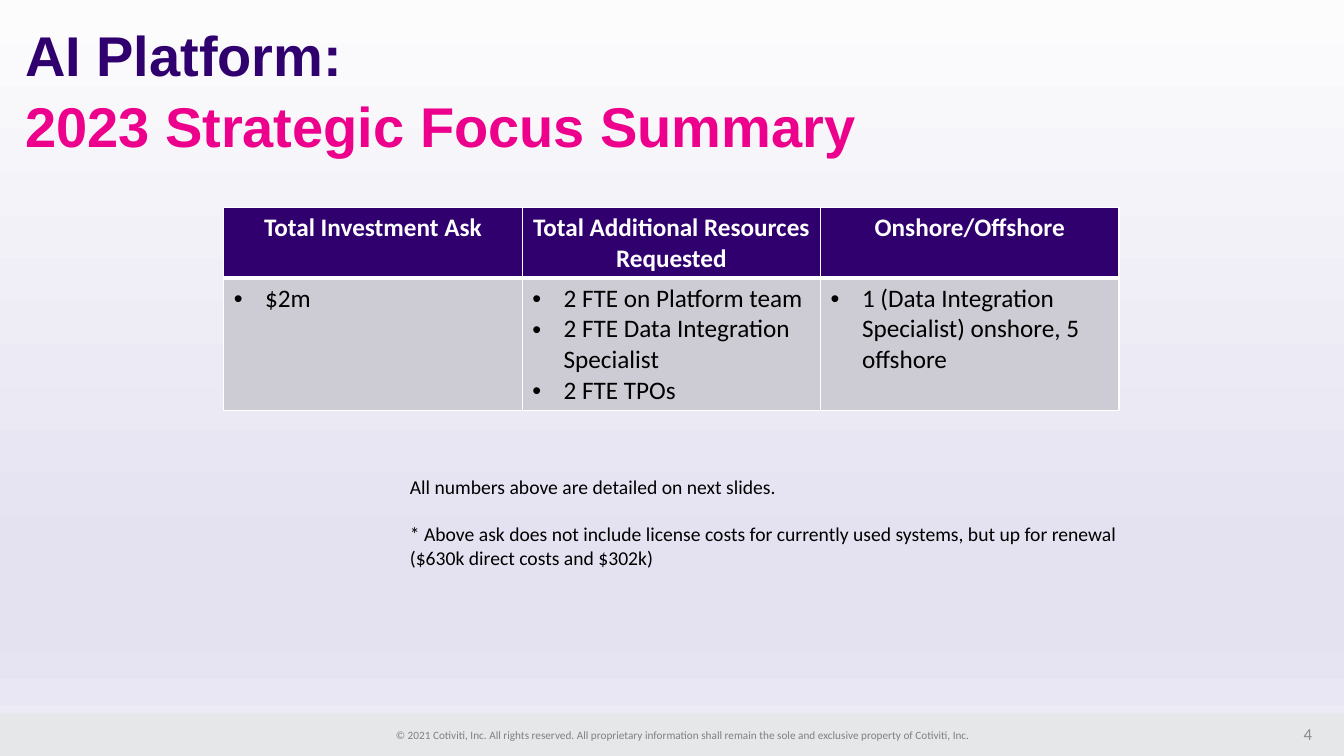
from copy import deepcopy
from dataclasses import dataclass

from lxml.etree import SubElement
from pptx import Presentation
from pptx.dml.color import RGBColor as RGB
from pptx.enum.shapes import MSO_SHAPE as Shape
from pptx.enum.text import MSO_ANCHOR as Anchor, MSO_AUTO_SIZE as AutoSize, PP_ALIGN as Align
from pptx.oxml.ns import qn
from pptx.util import Cm, Pt


@dataclass(frozen=True)
class Theme:
    heading_font: str = "Arial"
    body_font: str = "Calibri"
    purple: str = "30006F"
    pink: str = "EC008C"
    white: str = "FFFFFF"
    black: str = "000000"
    cell_grey: str = "CDCCD5"
    band_grey: str = "E6E7E8"
    legal_grey: str = "808080"
    number_grey: str = "8C8C8C"
    backdrop: tuple = ((0, "FCFCFD"), (0.74, "E4E2F1"), (0.83, "E4E2F1"), (1, "EDECF6"))
    title_size: int = 40
    table_size: int = 18
    note_size: int = 14
    number_size: int = 12
    legal_size: int = 8


class SlideBuilder:
    """Draws styled elements on one slide."""

    def __init__(self, deck, theme):
        self.theme = theme
        self.slide = deck.slides.add_slide(deck.slide_layouts[5])

    def background(self):
        fill = self.slide.background.fill
        fill.gradient()
        fill.gradient_angle = 270
        stop_list = self.slide.element.find(".//" + qn("a:gsLst"))
        for _ in range(len(self.theme.backdrop) - len(stop_list)):
            stop_list.append(deepcopy(stop_list[0]))
        for stop, (position, color) in zip(fill.gradient_stops, self.theme.backdrop):
            stop.position = position
            stop.color.rgb = RGB.from_string(color)

    def run(self, paragraph, text, size, color, bold=False, font=None):
        run = paragraph.add_run()
        run.text = text
        run.font.name = font or self.theme.body_font
        run.font.size = Pt(size)
        run.font.bold = bold
        run.font.color.rgb = RGB.from_string(color)

    def paragraphs(self, frame, lines):
        for index, line in enumerate(lines):
            yield (frame.add_paragraph() if index else frame.paragraphs[0]), line

    def title(self, lines, left, top, width, height):
        title = self.slide.shapes.title
        title.left, title.top, title.width, title.height = map(Cm, (left, top, width, height))
        frame = title.text_frame
        frame.auto_size = AutoSize.NONE
        frame.vertical_anchor = Anchor.TOP
        for paragraph, (text, color) in self.paragraphs(frame, lines):
            paragraph.alignment = Align.LEFT
            paragraph.line_spacing = 1.06
            paragraph.space_before = Pt(0)
            self.run(paragraph, text, self.theme.title_size, color, True, self.theme.heading_font)

    def band(self, left, top, width, height, color):
        band = self.slide.shapes.add_shape(Shape.RECTANGLE, *map(Cm, (left, top, width, height)))
        band.shadow.inherit = False
        band.fill.solid()
        band.fill.fore_color.rgb = RGB.from_string(color)
        band.line.fill.background()

    def text(self, lines, left, top, width, height, size, color,
             align=Align.LEFT, anchor=Anchor.TOP, wrap=True, gap=0):
        box = self.slide.shapes.add_textbox(*map(Cm, (left, top, width, height)))
        frame = box.text_frame
        frame.word_wrap = wrap
        frame.vertical_anchor = anchor
        for index, (paragraph, line) in enumerate(self.paragraphs(frame, lines)):
            paragraph.alignment = align
            paragraph.space_before = Pt(gap if index else 0)
            self.run(paragraph, line, size, color)

    def bullet(self, paragraph, indent):
        properties = paragraph._p.get_or_add_pPr()
        properties.set("marL", str(indent))
        properties.set("indent", str(-indent))
        SubElement(properties, qn("a:buFont"), typeface="Arial")
        SubElement(properties, qn("a:buChar"), char="•")

    def borders(self, cell, bottom):
        properties = cell._tc.get_or_add_tcPr()
        for side, width in (("L", 1), ("R", 1), ("T", 1), ("B", bottom)):
            line = SubElement(properties, qn(f"a:ln{side}"), w=str(Pt(width)))
            fill = SubElement(line, qn("a:solidFill"))
            SubElement(fill, qn("a:srgbClr"), val=self.theme.white)

    def cell(self, cell, lines, is_header):
        theme = self.theme
        self.borders(cell, 3 if is_header else 1)
        cell.fill.solid()
        cell.fill.fore_color.rgb = RGB.from_string(theme.purple if is_header else theme.cell_grey)
        for paragraph, line in self.paragraphs(cell.text_frame, lines):
            if is_header:
                paragraph.alignment = Align.CENTER
            else:
                self.bullet(paragraph, Cm(0.79))
            self.run(paragraph, line, theme.table_size,
                     theme.white if is_header else theme.black, is_header)

    def table(self, columns, left, top, column_width, row_heights):
        size = Cm(column_width * len(columns)), Cm(sum(row_heights))
        table = self.slide.shapes.add_table(
            len(row_heights), len(columns), Cm(left), Cm(top), *size).table
        for row, height in zip(table.rows, row_heights):
            row.height = Cm(height)
        for index, (heading, items) in enumerate(columns):
            table.columns[index].width = Cm(column_width)
            self.cell(table.cell(0, index), [heading], True)
            self.cell(table.cell(1, index), items, False)


def main():
    theme = Theme()
    deck = Presentation()
    deck.slide_width, deck.slide_height = Cm(33.87), Cm(19.05)
    page = SlideBuilder(deck, theme)
    page.background()
    page.band(0, 17.98, 33.87, 1.07, theme.band_grey)
    page.text(
        ["© 2021 Cotiviti, Inc. All rights reserved. All proprietary information shall remain "
         "the sole and exclusive property of Cotiviti, Inc."],
        8.15, 18.24, 18.14, 0.6, theme.legal_size, theme.legal_grey, Align.CENTER, wrap=False)
    page.title([("AI Platform:", theme.purple), ("2023 Strategic Focus Summary", theme.pink)],
               0.38, 0.28, 32.49, 3.68)
    page.text(["4"], 25.7, 17.98, 7.62, 1.02, theme.number_size, theme.number_grey,
              Align.RIGHT, Anchor.MIDDLE)
    page.table(
        [("Total Investment Ask", ["$2m"]),
         ("Total Additional Resources Requested",
          ["2 FTE on Platform team", "2 FTE Data Integration Specialist", "2 FTE TPOs"]),
         ("Onshore/Offshore", ["1 (Data Integration Specialist) onshore, 5 offshore"])],
        5.64, 5.23, 7.52, (1.75, 3.33))
    page.text(
        ["All numbers above are detailed on next slides.",
         "* Above ask does not include license costs for currently used systems, "
         "but up for renewal ($630k direct costs and $302k)"],
        10.08, 11.84, 18.8, 2.64, theme.note_size, theme.black, gap=17)
    deck.save("out.pptx")


if __name__ == "__main__":
    main()
